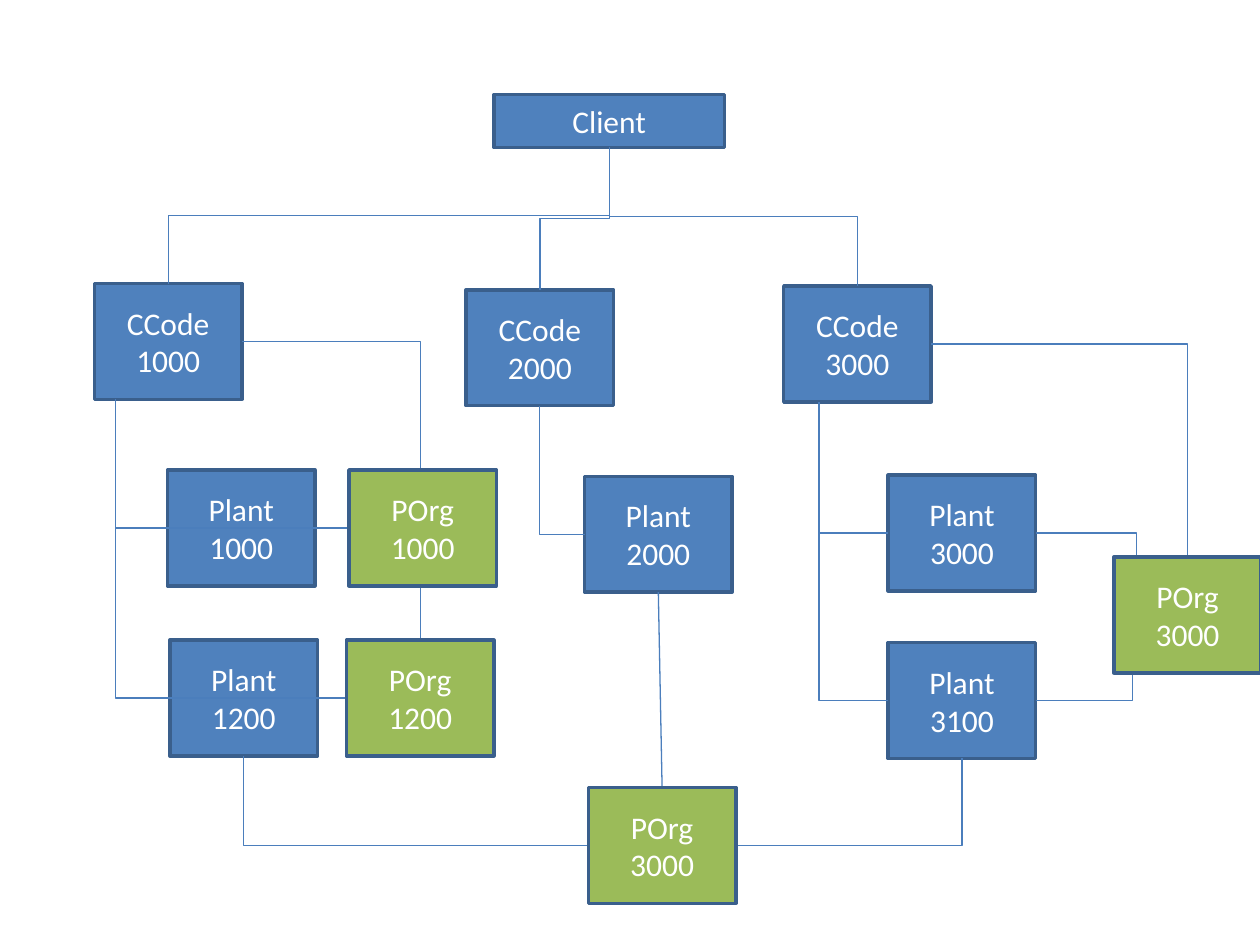
from dataclasses import dataclass

from lxml import etree
from pptx import Presentation
from pptx.dml.color import RGBColor
from pptx.enum.shapes import MSO_CONNECTOR, MSO_SHAPE
from pptx.enum.text import MSO_ANCHOR, PP_ALIGN
from pptx.oxml.ns import qn
from pptx.util import Inches, Pt

RECTANGLE = MSO_SHAPE.RECTANGLE
STRAIGHT, ELBOW = MSO_CONNECTOR.STRAIGHT, MSO_CONNECTOR.ELBOW
CENTER, MIDDLE = PP_ALIGN.CENTER, MSO_ANCHOR.MIDDLE
TOP, LEFT, BOTTOM, RIGHT = range(4)

COLORS = {"unit": "4F81BD", "purchasing": "9BBB59", "border": "3A5F8C",
          "link": "4B7EBC", "text": "FFFFFF"}
FONT = "Calibri"
QUARTER_TURN = "5400000"

Point = tuple[float, float]


@dataclass(frozen=True)
class Box:
    label: str
    left: float
    top: float
    color: str = "unit"
    width: float = 1.17
    height: float = 0.92

    def side(self, site: int) -> Point:
        """Middle of one side, numbered like a connection site."""
        center_x = self.left + self.width / 2
        center_y = self.top + self.height / 2
        return ((center_x, self.top), (self.left, center_y),
                (center_x, self.top + self.height),
                (self.left + self.width, center_y))[site]


CLIENT = Box("Client", 3.92, 0.75, width=1.83, height=0.42)
CODE_1000 = Box("CCode\v1000", 0.75, 2.25)
CODE_2000 = Box("CCode\v2000", 3.7, 2.3)
CODE_3000 = Box("CCode\v3000", 6.22, 2.27)
PLANT_1000 = Box("Plant\v1000", 1.33, 3.73)
PLANT_1200 = Box("Plant\v1200", 1.35, 5.08)
PLANT_2000 = Box("Plant\v2000", 4.64, 3.78)
PLANT_3000 = Box("Plant\v3000", 7.05, 3.77)
PLANT_3100 = Box("Plant\v3100", 7.05, 5.1)
PORG_1000 = Box("POrg\v1000", 2.77, 3.73, "purchasing")
PORG_1200 = Box("POrg\v1200", 2.75, 5.08, "purchasing")
PORG_EAST = Box("POrg\v3000", 8.84, 4.42, "purchasing")
PORG_SOUTH = Box("POrg\v3000", 4.67, 6.25, "purchasing")
BOXES = (CLIENT, CODE_1000, CODE_2000, CODE_3000, PLANT_1000, PLANT_1200,
         PLANT_2000, PLANT_3000, PLANT_3100, PORG_1000, PORG_1200,
         PORG_EAST, PORG_SOUTH)

TRUNK_1000_X, TRUNK_3000_X = 0.92, 6.5

# Each corner runs horizontally from its first point, then vertically.
CORNERS = (
    (CODE_1000.side(RIGHT), PORG_1200.side(TOP)),
    (CODE_3000.side(RIGHT), PORG_EAST.side(TOP)),
    (PLANT_3000.side(RIGHT), (9.02, PORG_EAST.top)),
    (PLANT_3100.side(RIGHT), (8.99, PORG_EAST.side(BOTTOM)[1])),
    (PLANT_1200.side(LEFT), (TRUNK_1000_X, CODE_1000.side(BOTTOM)[1])),
    (PLANT_3100.side(LEFT), (TRUNK_3000_X, CODE_3000.side(BOTTOM)[1])),
    (PLANT_2000.side(LEFT), CODE_2000.side(BOTTOM)),
    (PORG_SOUTH.side(RIGHT), PLANT_3100.side(BOTTOM)),
    (PORG_SOUTH.side(LEFT), PLANT_1200.side(BOTTOM)),
)
JOINED_LINES = (
    (PORG_1000, RIGHT, PLANT_1000, LEFT),
    (PORG_1200, RIGHT, PLANT_1200, LEFT),
    (PLANT_2000, BOTTOM, PORG_SOUTH, TOP),
)
TRUNK_BRANCHES = ((PLANT_1000, TRUNK_1000_X), (PLANT_3000, TRUNK_3000_X))


def draw_box(slide, box: Box):
    shape = slide.shapes.add_shape(
        RECTANGLE, Inches(box.left), Inches(box.top),
        Inches(box.width), Inches(box.height))
    shape.shadow.inherit = False
    shape.fill.solid()
    shape.fill.fore_color.rgb = RGBColor.from_string(COLORS[box.color])
    shape.line.color.rgb = RGBColor.from_string(COLORS["border"])
    shape.line.width = Pt(2)
    frame = shape.text_frame
    frame.word_wrap = True
    frame.vertical_anchor = MIDDLE
    frame.text = box.label
    paragraph = frame.paragraphs[0]
    paragraph.alignment = CENTER
    for run in paragraph.runs:
        run.font.name = FONT
        run.font.size = Pt(18)
        run.font.color.rgb = RGBColor.from_string(COLORS["text"])
    return shape


def draw_link(slide, kind, start: Point, end: Point):
    link = slide.shapes.add_connector(
        kind, *(Inches(value) for value in (*start, *end)))
    link.line.color.rgb = RGBColor.from_string(COLORS["link"])
    link.line.width = Pt(0.75)
    etree.SubElement(link._element.spPr, qn("a:effectLst"))
    return link


def draw_corner(slide, start: Point, end: Point) -> None:
    link = draw_link(slide, ELBOW, start, end)
    link._element.spPr.find(qn("a:prstGeom")).set("prst", "bentConnector2")


def draw_drop(slide, start: Point, end: Point) -> None:
    """Elbow that goes down, across and down again: a turned connector."""
    across, down = end[0] - start[0], end[1] - start[1]
    center_x, center_y = start[0] + across / 2, start[1] + down / 2
    half_length, half_span = down / 2, abs(across) / 2
    link = draw_link(slide, ELBOW,
                     (center_x - half_length, center_y - half_span),
                     (center_x + half_length, center_y + half_span))
    frame = link._element.spPr.find(qn("a:xfrm"))
    frame.set("rot", QUARTER_TURN)
    if across > 0:
        frame.set("flipV", "1")


def main() -> None:
    presentation = Presentation()
    presentation.slide_width, presentation.slide_height = Inches(10), Inches(7.5)
    slide = presentation.slides.add_slide(presentation.slide_layouts[6])

    shapes = {box: draw_box(slide, box) for box in BOXES}
    for start, end in CORNERS:
        draw_corner(slide, start, end)
    for code in (CODE_1000, CODE_2000, CODE_3000):
        draw_drop(slide, CLIENT.side(BOTTOM), code.side(TOP))
    for first, first_site, last, last_site in JOINED_LINES:
        line = draw_link(slide, STRAIGHT, first.side(first_site), last.side(last_site))
        line.begin_connect(shapes[first], first_site)
        line.end_connect(shapes[last], last_site)
    for plant, trunk_x in TRUNK_BRANCHES:
        start = plant.side(LEFT)
        branch = draw_link(slide, STRAIGHT, start, (trunk_x, start[1]))
        branch.begin_connect(shapes[plant], LEFT)

    # Purchasing organisations cover the lines that pass behind them.
    for box, shape in shapes.items():
        if box.color == "purchasing":
            slide.shapes._spTree.append(shape._element)

    presentation.save("out.pptx")


if __name__ == "__main__":
    main()
